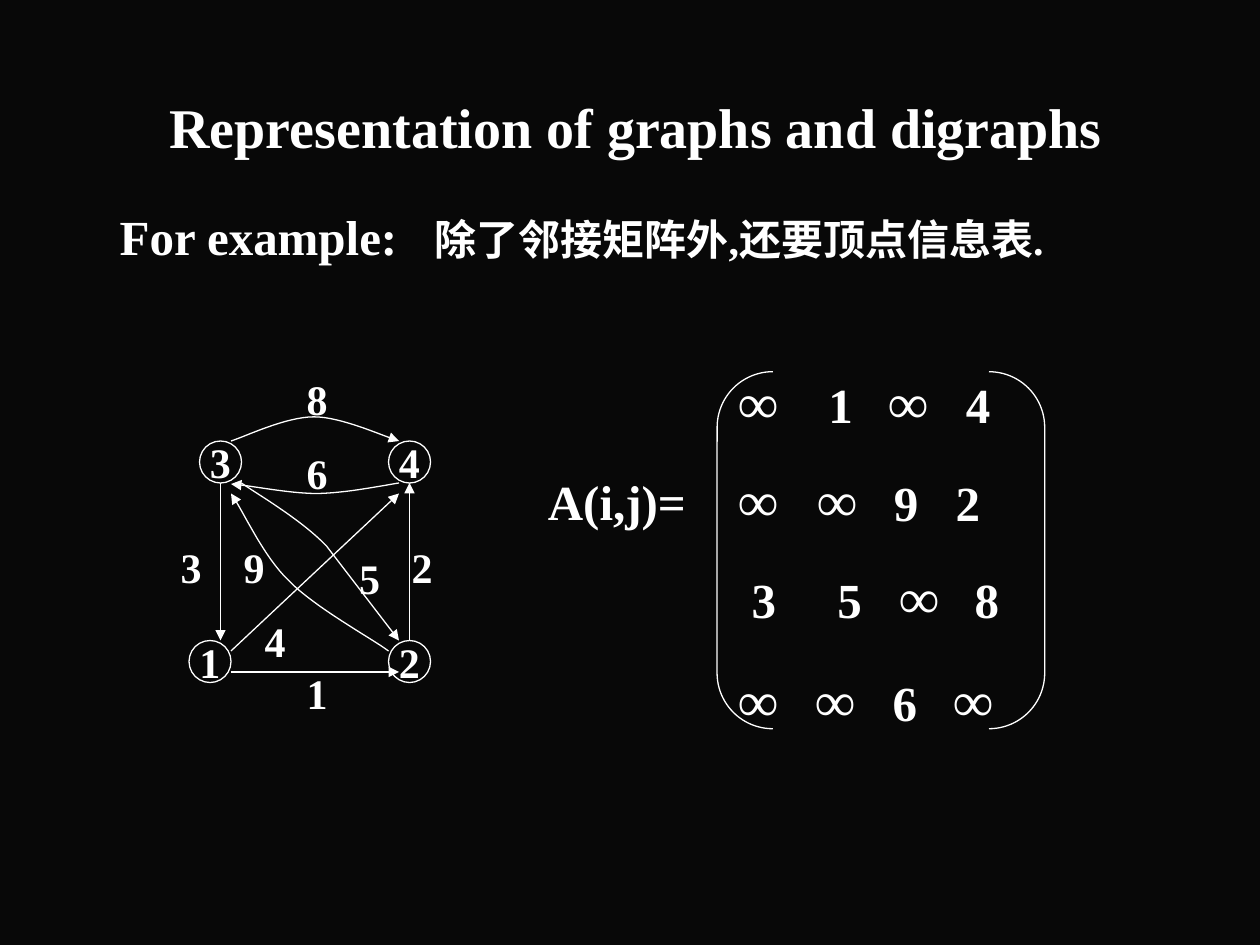
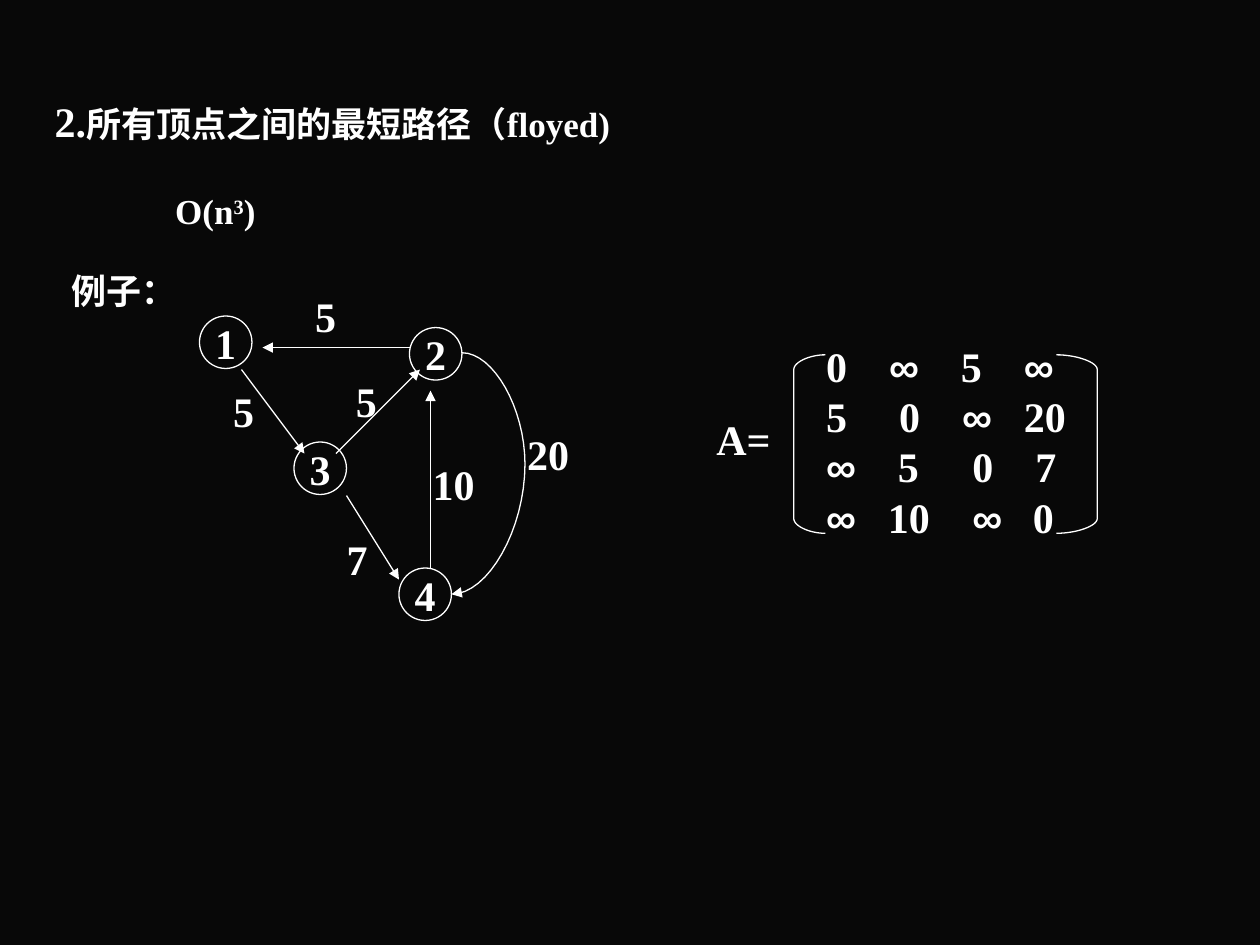
"""Builds two slides on weighted digraphs and their adjacency matrices."""
import lxml.etree
import pptx
import pptx.dml.color
import pptx.enum.shapes
import pptx.enum.text
import pptx.oxml.ns
import pptx.util

COLORS = {"ground": "080808", "ink": "FFFFFF"}
SERIF, SANS = "Times New Roman", "Arial"
COLUMNS, ROWS = 120, 90
STEPS = 16
ANCHOR = pptx.enum.text.MSO_ANCHOR
ALIGN = pptx.enum.text.PP_ALIGN
SHAPE = pptx.enum.shapes.MSO_SHAPE


def rgb(name):
    return pptx.dml.color.RGBColor.from_string(COLORS[name])


def add_xml(parent, tag, **attributes):
    return lxml.etree.SubElement(parent, pptx.oxml.ns.qn(tag), attributes)


def bezier(points):
    """Sample a cubic curve given by four points, without its start."""
    for step in range(1, STEPS + 1):
        t = step / STEPS
        weights = ((1 - t) ** 3, 3 * t * (1 - t) ** 2, 3 * t * t * (1 - t), t ** 3)
        yield tuple(sum(w * p[axis] for w, p in zip(weights, points)) for axis in (0, 1))


class Deck:
    """Holds the style and the current slide; lengths are grid columns and rows."""

    def __init__(self):
        self.prs = pptx.Presentation()
        self.prs.slide_width = pptx.util.Inches(10)
        self.prs.slide_height = pptx.util.Inches(7.5)
        ground = self.prs.slide_master.background.fill
        ground.solid()
        ground.fore_color.rgb = rgb("ground")
        self.slide = None

    def new_slide(self, layout):
        self.slide = self.prs.slides.add_slide(self.prs.slide_layouts[layout])

    def x(self, columns):
        return round(self.prs.slide_width * columns / COLUMNS)

    def y(self, rows):
        return round(self.prs.slide_height * rows / ROWS)

    def box(self, left, top, width, height):
        return self.x(left), self.y(top), self.x(width), self.y(height)

    def style_run(self, run, size, font=SERIF):
        run.font.size = pptx.util.Pt(size)
        run.font.name = font
        run.font.bold = True
        run.font.color.rgb = rgb("ink")

    def fill_paragraph(self, paragraph, runs, align=ALIGN.LEFT, tabs=()):
        paragraph.alignment = align
        if tabs:
            stops = add_xml(paragraph._p.get_or_add_pPr(), "a:tabLst")
            for stop in tabs:
                add_xml(stops, "a:tab", pos=str(pptx.util.Inches(stop)), algn="l")
        for text, *style in runs:
            run = paragraph.add_run()
            run.text = text
            self.style_run(run, *style)

    def setup_frame(self, frame, anchor, wrap=True):
        frame.auto_size = pptx.enum.text.MSO_AUTO_SIZE.NONE
        frame.word_wrap = wrap
        frame.vertical_anchor = anchor

    def placeholder(self, index, box, runs, align=ALIGN.LEFT, anchor=ANCHOR.TOP, tabs=()):
        holder = self.slide.placeholders[index]
        holder.left, holder.top, holder.width, holder.height = self.box(*box)
        self.setup_frame(holder.text_frame, anchor)
        paragraph = holder.text_frame.paragraphs[0]
        properties = paragraph._p.get_or_add_pPr()
        properties.set("marL", "0")
        properties.set("indent", "0")
        add_xml(properties, "a:buNone")
        self.fill_paragraph(paragraph, runs, align, tabs)
        paragraph.space_before = pptx.util.Pt(0)

    def text(self, box, runs):
        frame = self.slide.shapes.add_textbox(*self.box(*box)).text_frame
        self.setup_frame(frame, ANCHOR.TOP)
        self.fill_paragraph(frame.paragraphs[0], runs)
        return frame

    def label(self, text, x, y, size=24):
        frame = self.slide.shapes.add_textbox(*self.box(x - 4, y - 3, 8, 6)).text_frame
        self.setup_frame(frame, ANCHOR.MIDDLE, wrap=False)
        self.fill_paragraph(frame.paragraphs[0], [(text, size)], ALIGN.CENTER)

    def outline(self, shape):
        shape.shadow.inherit = False
        shape.fill.background()
        self.line(shape)

    def line(self, shape, arrow=False):
        shape.line.color.rgb = rgb("ink")
        shape.line.width = pptx.util.Pt(0.75)
        if arrow:
            add_xml(shape.line._get_or_add_ln(), "a:tailEnd", type="triangle")

    def node(self, text, left, top, size):
        circle = self.slide.shapes.add_shape(SHAPE.OVAL, *self.box(left, top, size, size))
        self.outline(circle)
        self.setup_frame(circle.text_frame, ANCHOR.MIDDLE, wrap=False)
        self.fill_paragraph(circle.text_frame.paragraphs[0], [(text, 24)], ALIGN.CENTER)

    def edge(self, x1, y1, x2, y2):
        connector = self.slide.shapes.add_connector(
            pptx.enum.shapes.MSO_CONNECTOR.STRAIGHT,
            self.x(x1), self.y(y1), self.x(x2), self.y(y2))
        self.line(connector, arrow=True)
        add_xml(connector._element.spPr, "a:effectLst")

    def curve(self, start, *segments, arrow=True):
        """Draw segments of one point (straight) or three points (cubic)."""
        points = [start]
        for segment in segments:
            points += bezier([points[-1], *segment]) if len(segment) == 3 else segment
        points = [(self.x(x), self.y(y)) for x, y in points]
        builder = self.slide.shapes.build_freeform(*points[0])
        builder.add_line_segments(points[1:], close=False)
        shape = builder.convert_to_shape()
        self.outline(shape)
        self.line(shape, arrow)

    def bracket(self, inner, outer, top, bottom):
        middle = (inner + outer) / 2
        self.curve(
            (inner, top),
            [(middle, top), (outer, top + 0.7), (outer, top + 1.4)],
            [(outer, bottom - 1.4)],
            [(outer, bottom - 0.7), (middle, bottom), (inner, bottom)],
            arrow=False)

    def double_bracket(self, box, corner):
        shape = self.slide.shapes.add_shape(SHAPE.DOUBLE_BRACKET, *self.box(*box))
        shape.adjustments[0] = corner
        self.outline(shape)

    def matrix(self, box, rows, digit_style, infinity_style, gaps=(0, 0, 0, 0)):
        """Write rows of (cells, starts), each cell at its start in inches."""
        frame = self.text(box, [])
        for index, ((cells, starts), gap) in enumerate(zip(rows, gaps)):
            paragraph = frame.add_paragraph() if index else frame.paragraphs[0]
            runs = []
            for cell, start in zip(cells.split(), starts):
                if start:
                    runs.append(("\t", *digit_style))
                runs.append((cell, *(infinity_style if cell == "∞" else digit_style)))
            self.fill_paragraph(paragraph, runs, tabs=[s for s in starts if s])
            if gap:
                paragraph.space_before = pptx.util.Pt(gap)

    def save(self):
        self.prs.save("out.pptx")


def representation_slide(deck):
    deck.new_slide(1)
    deck.placeholder(0, (9.6, 8, 102, 8), [("Representation of graphs and digraphs", 32)],
                     ALIGN.CENTER, ANCHOR.MIDDLE)
    deck.placeholder(1, (10.2, 19.1, 102, 54),
                     [("For example:\t", 28), ("除了邻接矩阵外,还要顶点信息表.", 24)], tabs=[2.48])

    for vertex in (("3", 19, 42), ("4", 37, 42), ("1", 18, 61), ("2", 37, 61)):
        deck.node(*vertex, size=4)
    for ends in ((21, 46, 21, 61), (39, 61, 39, 46), (22, 64, 38, 64), (22, 62, 38, 47)):
        deck.edge(*ends)
    deck.curve((22, 42), [(23.3, 41.6), (27.2, 39.7), (29.9, 39.7)],
               [(32.5, 39.7), (36.4, 41.5), (38, 42)])
    deck.curve((38, 46), [(36.7, 46.2), (32.8, 47), (30.1, 47)],
               [(27.5, 47), (23.6, 46.2), (22, 46.1)])
    deck.curve((23, 46), [(24.4, 47), (28.6, 49.4), (31.1, 52)], [(38, 61)])
    deck.curve((37, 62), [(35.4, 60.8), (29.9, 57.8), (27.5, 55.3)],
               [(25, 52.9), (23.2, 48.7), (22, 47)])
    for weight in (("8", 30.2, 38), ("6", 30.2, 45), ("2", 40.2, 54), ("3", 18.2, 54),
                   ("1", 30.2, 66), ("4", 26.2, 61), ("9", 24.2, 54), ("5", 35.2, 55)):
        deck.label(*weight)

    deck.text((51, 44.3, 21.5, 6.8), [("A(i,j)=", 28)])
    deck.double_bracket((68.3, 35.4, 31.2, 34), 0.17)
    deck.matrix((69.2, 34.4, 32.3, 36), [
        ("∞ 1 ∞ 4", (0, 0.71, 1.19, 1.8)),
        ("∞ ∞ 9 2", (0, 0.62, 1.23, 1.72)),
        ("3 5 ∞ 8", (0.1, 0.78, 1.27, 1.87)),
        ("∞ ∞ 6 ∞", (0, 0.61, 1.22, 1.7)),
    ], (28,), (32,), gaps=(0, 17.5, 17.5, 20))


def shortest_path_slide(deck):
    deck.new_slide(5)
    deck.placeholder(0, (4, 8.5, 108, 6), [("2.", 24), ("所有顶点之间的最短路径（floyed)", 20)])
    complexity = deck.text((15.5, 17.5, 20, 5.3), [("O(n", 20), ("3", 20), (")", 20)])
    complexity.paragraphs[0].runs[1]._r.get_or_add_rPr().set("baseline", "30000")
    deck.label("例子：", 11.8, 27.7, 20)

    for vertex in (("1", 19, 30.1), ("3", 28, 42.1), ("4", 38, 54.1), ("2", 39, 31.2)):
        deck.node(*vertex, size=5)
    for ends in ((23, 35.2, 29, 43.2), (33, 47.2, 38, 55.2), (32, 43.2, 40, 35.2),
                 (41, 54.1, 41, 37.2), (39, 33.1, 25, 33.1)):
        deck.edge(*ends)
    deck.curve((44, 33.6), [(47, 33.6), (50, 38.9), (50, 44.2)],
               [(50, 50.4), (46.5, 56.6), (43, 56.6)])
    for weight in (("5", 31, 30.1), ("5", 23.2, 39.1), ("5", 34.9, 38.2), ("7", 34, 53.2),
                   ("10", 43.2, 46.1), ("20", 52.2, 43.2)):
        deck.label(*weight)

    deck.label("A=", 70.8, 41.8)
    for inner, outer in ((78.6, 75.6), (100.6, 104.5)):
        deck.bracket(inner, outer, 33.8, 50.8)
    deck.matrix((77.5, 31.8, 26.5, 20.4), [
        ("0 ∞ 5 ∞", (0, 0.5, 1.07, 1.57)),
        ("5 0 ∞ 20", (0, 0.58, 1.08, 1.57)),
        ("∞ 5 0 7", (0, 0.57, 1.16, 1.66)),
        ("∞ 10 ∞ 0", (0, 0.49, 1.16, 1.64)),
    ], (24,), (24, SANS))


def main():
    deck = Deck()
    representation_slide(deck)
    shortest_path_slide(deck)
    deck.save()


if __name__ == "__main__":
    main()
